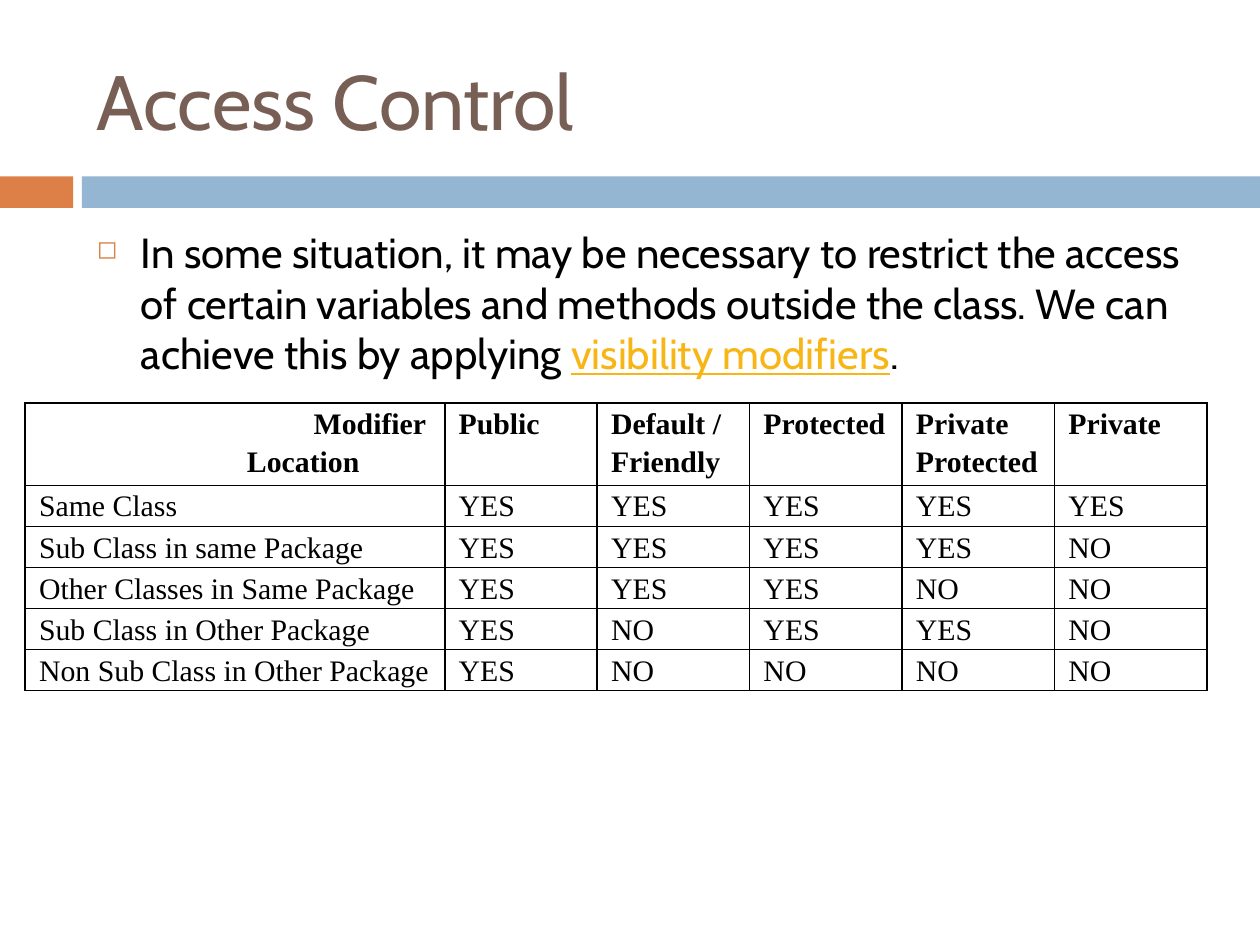
"""Build the Access Control slide with its visibility modifier table."""
from lxml import etree
from pptx import Presentation
from pptx.dml.color import RGBColor
from pptx.enum import shapes, text
from pptx.oxml import ns
from pptx.util import Inches, Pt

TITLE = "Access Control"
BODY = [
    ("In some situation, it may be necessary to restrict the access of certain "
     "variables and methods outside the class. We can achieve this by applying ", "plain"),
    ("visibility modifiers", "link"),
    (".", "plain"),
]
CORNER = [("Modifier", 2.18), ("Location", 1.65)]
MODIFIERS = ["Public", "Default / Friendly", "Protected", "Private Protected", "Private"]
ACCESS = [
    ("Same Class", "YES YES YES YES YES"),
    ("Sub Class in same Package", "YES YES YES YES NO"),
    ("Other Classes in Same Package", "YES YES YES NO NO"),
    ("Sub Class in Other Package", "YES NO YES YES NO"),
    ("Non Sub Class in Other Package", "YES NO NO NO NO"),
]
THEME = {
    "orange": "DD8047",
    "blue": "94B6D2",
    "border": "000000",
    "title": {"name": "Cabin", "size": Pt(44), "color": "775F55"},
    "plain": {"name": "Cabin", "size": Pt(24), "color": "000000"},
    "link": {"name": "Cabin", "size": Pt(24), "color": "F7B615", "underline": True},
    "header": {"name": "Times New Roman", "size": Pt(17), "color": "000000", "bold": True},
    "cell": {"name": "Times New Roman", "size": Pt(17), "color": "000000", "bold": False},
}
BARS = [(0, 0.58, "orange"), (0.65, 9.35, "blue")]
COLUMNS = [3.33] + [1.21] * len(MODIFIERS)
ROWS = [0.65] + [0.325] * len(ACCESS)
CELL_FORMAT = {"margin_left": Inches(0.11), "margin_right": Inches(0.11),
               "margin_top": 0, "margin_bottom": 0}


def apply(target, values):
    for name, value in values.items():
        setattr(target, name, value)


def add_run(paragraph, content, style):
    run = paragraph.add_run()
    run.text = content
    values = dict(THEME[style])
    run.font.color.rgb = RGBColor.from_string(values.pop("color"))
    apply(run.font, values)


def add_child(parent, tag, **attributes):
    return etree.SubElement(parent, ns.qn(tag), attributes)


def add_bar(slide, left, width, color):
    shape = slide.shapes.add_shape(shapes.MSO_SHAPE.RECTANGLE, Inches(left), Inches(1.4),
                                   Inches(width), Inches(0.25))
    shape.shadow.inherit = False
    shape.fill.solid()
    shape.fill.fore_color.rgb = RGBColor.from_string(THEME[color])
    shape.line.fill.background()


def add_text(slide, top, height, anchor, runs):
    box = slide.shapes.add_textbox(Inches(0.67), Inches(top), Inches(8.92), Inches(height))
    apply(box.text_frame, {"word_wrap": True, "vertical_anchor": anchor})
    paragraph = box.text_frame.paragraphs[0]
    for content, style in runs:
        add_run(paragraph, content, style)
    return paragraph


def add_bullet(paragraph):
    properties = paragraph._p.get_or_add_pPr()
    properties.set("marL", str(Inches(0.35)))
    properties.set("indent", str(-Inches(0.35)))
    add_child(add_child(properties, "a:buClr"), "a:srgbClr", val=THEME["orange"])
    add_child(properties, "a:buSzPct", val="60000")
    add_child(properties, "a:buChar", char="◻")


def fill_cell(cell, lines, style):
    apply(cell, CELL_FORMAT)
    properties = cell._tc.get_or_add_tcPr()
    for side in ("a:lnL", "a:lnR", "a:lnT", "a:lnB"):
        line = add_child(properties, side, w=str(Pt(1)))
        add_child(add_child(line, "a:solidFill"), "a:srgbClr", val=THEME["border"])
    cell.fill.background()
    for index, (content, indent) in enumerate(lines):
        frame = cell.text_frame
        paragraph = frame.add_paragraph() if index else frame.paragraphs[0]
        paragraph.line_spacing = 1.15
        paragraph._p.get_or_add_pPr().set("marL", str(Inches(indent)))
        add_run(paragraph, content, style)


def add_access_table(slide):
    table = slide.shapes.add_table(len(ROWS), len(COLUMNS), Inches(0.2), Inches(3.2),
                                   Inches(sum(COLUMNS)), Inches(sum(ROWS))).table
    apply(table, {"first_row": False, "horz_banding": False})
    for column, width in zip(table.columns, COLUMNS):
        column.width = Inches(width)
    for row, height in zip(table.rows, ROWS):
        row.height = Inches(height)
    grid = [[CORNER] + [[(name, 0)] for name in MODIFIERS]]
    grid += [[[(value, 0)] for value in (place, *answers.split())] for place, answers in ACCESS]
    for row_index, row in enumerate(grid):
        for column_index, lines in enumerate(row):
            fill_cell(table.cell(row_index, column_index), lines,
                      "cell" if row_index else "header")


def main():
    presentation = Presentation()
    apply(presentation, {"slide_width": Inches(10), "slide_height": Inches(7.5)})
    slide = presentation.slides.add_slide(presentation.slide_layouts[6])
    for left, width, color in BARS:
        add_bar(slide, left, width, color)
    add_text(slide, 0.25, 1.08, text.MSO_ANCHOR.MIDDLE, [(TITLE, "title")])
    add_bullet(add_text(slide, 1.75, 4.92, text.MSO_ANCHOR.TOP, BODY))
    add_access_table(slide)
    presentation.save("out.pptx")


if __name__ == "__main__":
    main()
